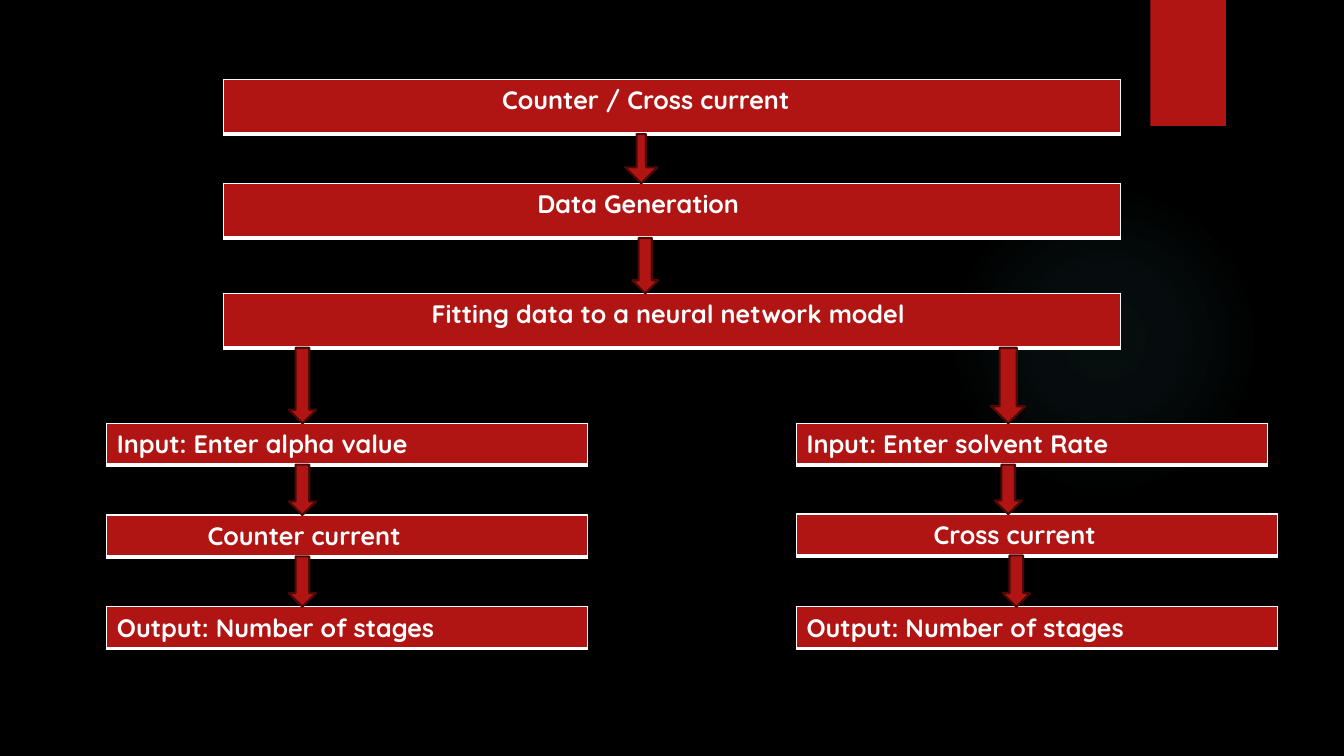
from lxml import etree
from pptx import Presentation
from pptx.dml.color import RGBColor
from pptx.enum.shapes import MSO_SHAPE
from pptx.oxml import parse_xml
from pptx.oxml.ns import qn
from pptx.util import Inches, Pt

COLORS = {"background": "000000", "red": "B01513", "dark_red": "4D0908",
          "white": "FFFFFF", "glow": "50B9C1"}
FONT = "Quicksand"
CELL_MARGIN = 0.1
BORDERS = {"lnL": 1, "lnR": 1, "lnT": 1, "lnB": 3}
GLOW_STOPS = [(0, 7), (36, 6), (69, 0)]  # position and opacity, in percent
NS = "http://schemas.openxmlformats.org/drawingml/2006/main"


def rgb(name):
    return RGBColor.from_string(COLORS[name])


def add_plain_shape(s, kind, left, top, width, height, color):
    sp = s.shapes.add_shape(kind, Inches(left), Inches(top), Inches(width), Inches(height))
    sp.shadow.inherit = False
    sp.fill.solid()
    sp.fill.fore_color.rgb = rgb(color)
    sp.line.fill.background()
    return sp


def add_glow(s, left, top, size):
    sp = add_plain_shape(s, MSO_SHAPE.OVAL, left, top, size, size, "glow")
    stops = "".join(
        f'<a:gs pos="{pos * 1000}"><a:srgbClr val="{COLORS["glow"]}">'
        f'<a:alpha val="{alpha * 1000}"/></a:srgbClr></a:gs>' for pos, alpha in GLOW_STOPS)
    gradient = parse_xml(
        f'<a:gradFill xmlns:a="{NS}" rotWithShape="1"><a:gsLst>{stops}</a:gsLst>'
        '<a:path path="circle"><a:fillToRect l="50000" t="50000" r="50000" b="50000"/>'
        '</a:path></a:gradFill>')
    spPr = sp._element.spPr
    spPr.replace(spPr.find(qn("a:solidFill")), gradient)


def set_borders(cell):
    tcPr = cell._tc.get_or_add_tcPr()
    for i, (side, points) in enumerate(BORDERS.items()):
        ln = etree.Element(qn(f"a:{side}"), w=str(Pt(points)))
        fill = etree.SubElement(ln, qn("a:solidFill"))
        etree.SubElement(fill, qn("a:srgbClr"), val=COLORS["white"])
        tcPr.insert(i, ln)


def add_step(s, text, left, top, width, height, indent=0):
    """Add one flowchart step as a single-cell table."""
    table = s.shapes.add_table(1, 1, Inches(left), Inches(top),
                               Inches(width), Inches(height)).table
    table.first_row = table.horz_banding = False
    cell = table.cell(0, 0)
    cell.margin_left = Inches(CELL_MARGIN + indent)
    cell.fill.solid()
    cell.fill.fore_color.rgb = rgb("red")
    set_borders(cell)
    r = cell.text_frame.paragraphs[0].add_run()
    r.text = text
    r.font.name = FONT
    r.font.size = Pt(18)
    r.font.bold = True
    r.font.color.rgb = rgb("white")


def add_arrow(s, center, top, bottom, width, shaft=0.5):
    sp = add_plain_shape(s, MSO_SHAPE.DOWN_ARROW, center - width / 2, top,
                         width, bottom - top, "red")
    sp.adjustments[0] = shaft
    sp.line.color.rgb = rgb("dark_red")
    sp.line.width = Pt(1.5)


def add_column(s, left, height, steps, arrows):
    """Stack steps (text, top, width, indent); arrows (center, width, shaft) join them."""
    for text, top, width, indent in steps:
        add_step(s, text, left, top, width, height, indent)
    for above, below, (center, width, shaft) in zip(steps, steps[1:], arrows):
        add_arrow(s, center, above[1] + height, below[1], width, shaft)


def main():
    prs = Presentation()
    prs.slide_width, prs.slide_height = Inches(13.33), Inches(7.5)
    s = prs.slides.add_slide(prs.slide_layouts[6])
    s.background.fill.solid()
    s.background.fill.fore_color.rgb = rgb("background")

    add_glow(s, 9.41, 1.83, 3.08)
    add_plain_shape(s, MSO_SHAPE.RECTANGLE, 11.41, 0, 0.75, 1.25, "red")

    add_column(s, 2.22, 0.54, [
        ("Counter / Cross current", 0.79, 8.89, 2.66),
        ("Data Generation", 1.82, 8.89, 3.01),
        ("Fitting data to a neural network model", 2.91, 8.89, 1.96),
    ], [(6.36, 0.32, 0.29), (6.4, 0.26, 0.5)])
    add_column(s, 1.06, 0.41, [
        ("Input: Enter alpha value", 4.2, 4.77, 0),
        ("Counter current", 5.11, 4.77, 0.9),
        ("Output: Number of stages", 6.02, 4.77, 0),
    ], [(3, 0.27, 0.5)] * 2)
    add_column(s, 7.9, 0.41, [
        ("Input: Enter solvent Rate", 4.2, 4.67, 0),
        ("Cross current", 5.1, 4.77, 1.26),
        ("Output: Number of stages", 6.02, 4.77, 0),
    ], [(10, 0.27, 0.5), (10.08, 0.27, 0.5)])
    for center, width in [(3, 0.27), (10, 0.34)]:
        add_arrow(s, center, 3.45, 4.2, width)

    prs.save("out.pptx")


if __name__ == "__main__":
    main()
